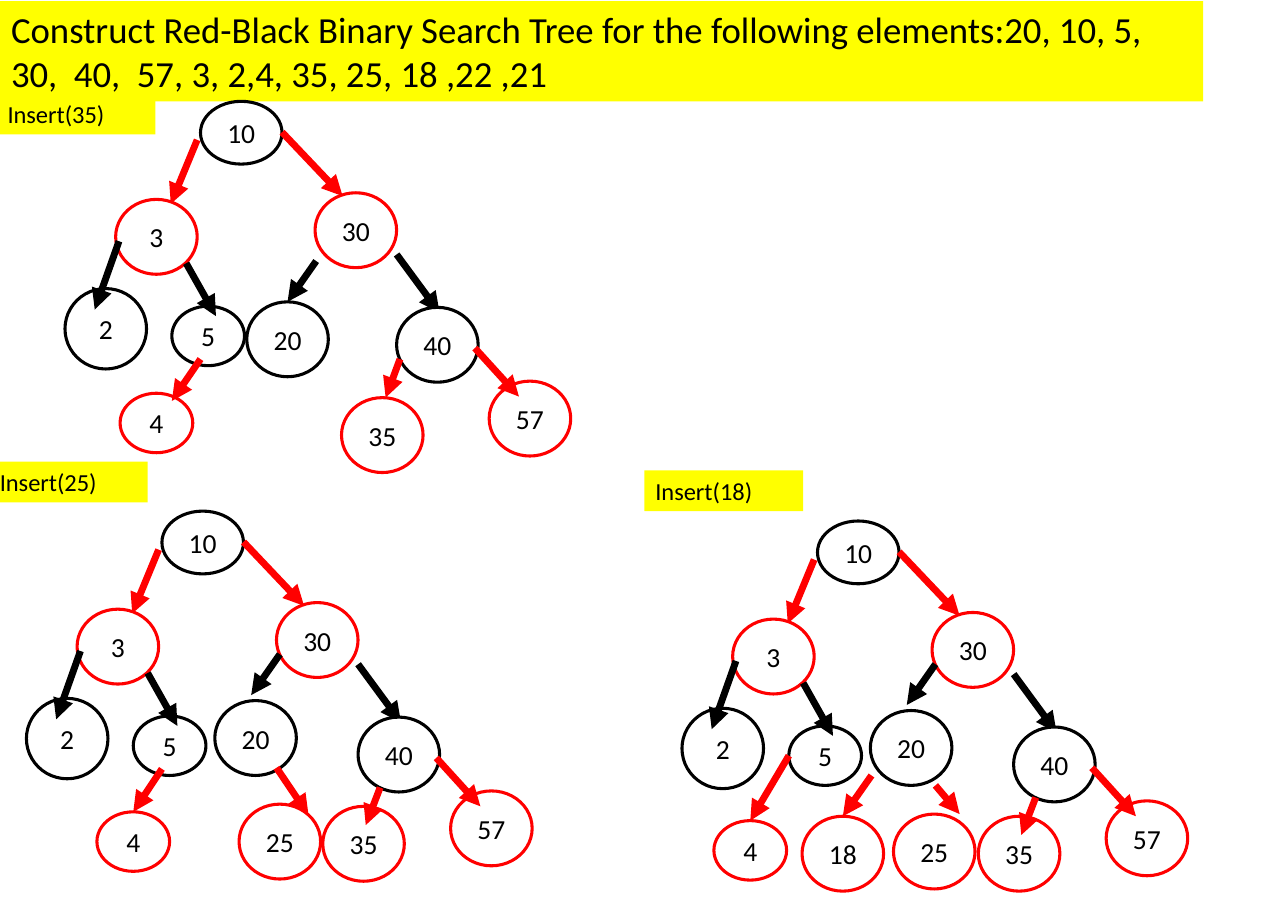
from dataclasses import dataclass

from lxml import etree
from pptx import Presentation
from pptx.dml.color import RGBColor
from pptx.enum.shapes import MSO_CONNECTOR, MSO_SHAPE
from pptx.enum.text import MSO_ANCHOR, MSO_AUTO_SIZE, PP_ALIGN
from pptx.oxml.ns import qn
from pptx.slide import Slide
from pptx.text.text import TextFrame
from pptx.util import Inches, Pt

OVAL = MSO_SHAPE.OVAL
STRAIGHT = MSO_CONNECTOR.STRAIGHT
TOP, MIDDLE = MSO_ANCHOR.TOP, MSO_ANCHOR.MIDDLE
LEFT, CENTER = PP_ALIGN.LEFT, PP_ALIGN.CENTER
NO_AUTOFIT = MSO_AUTO_SIZE.NONE

RED, BLACK, WHITE, YELLOW = "FF0000", "000000", "FFFFFF", "FFFF00"
TITLE = ("Construct Red-Black Binary Search Tree for the following elements:"
         "20, 10, 5,  30,  40,  57, 3, 2,4, 35, 25, 18 ,22 ,21")


@dataclass(frozen=True)
class Node:
    key: int
    x: float
    y: float
    color: str = BLACK
    width: float = 0.74
    height: float = 0.68


@dataclass(frozen=True)
class Arrow:
    x1: float
    y1: float
    x2: float
    y2: float
    color: str = RED


@dataclass(frozen=True)
class Tree:
    label: str
    label_x: float
    label_y: float
    root_x: float
    root_y: float
    branches: tuple[Node | Arrow, ...]


SHARED_TREE = (
    Arrow(1.78, 1.39, 2.17, 1.92, BLACK),
    Node(10, 0, 0, height=0.57),
    Arrow(0.74, 0.28, 1.29, 0.86),
    Node(5, -0.26, 1.86, width=0.66, height=0.54),
    Arrow(-0.03, 0.35, -0.27, 0.93),
    Node(30, 1.04, 0.83, RED),
    Node(40, 1.78, 1.87),
    Node(57, 2.62, 2.54, RED),
    Arrow(2.49, 2.24, 2.89, 2.68),
    Node(3, -0.77, 0.89, RED),
    Arrow(-0.13, 1.47, 0.14, 1.95, BLACK),
    Node(2, -1.23, 1.7, height=0.73),
    Arrow(-0.74, 1.27, -0.96, 1.89, BLACK),
)
UPPER_20 = (Node(20, 0.48, 1.72), Arrow(1.07, 1.3, 0.81, 1.67, BLACK))
LOWER_35 = (Node(35, 1.46, 2.68, RED), Arrow(1.98, 2.51, 1.85, 2.85))

TREES = (
    Tree("Insert(35)", -0.03, 0.85, 1.82, 0.92, (
        Node(20, 0.42, 1.82),
        Arrow(1.05, 1.45, 0.79, 1.82, BLACK),
        Node(4, -0.73, 2.65, RED, 0.66, 0.54),
        Arrow(0, 2.34, -0.26, 2.72),
        Node(35, 1.28, 2.69, RED),
        Arrow(1.81, 2.34, 1.68, 2.69),
    )),
    Tree("Insert(25)", -0.1, 4.19, 1.47, 4.64, UPPER_20 + (
        Node(4, -0.59, 2.73, RED, 0.66, 0.54),
        Arrow(0, 2.34, -0.26, 2.73),
        Node(25, 0.7, 2.66, RED),
        Arrow(1.04, 2.33, 1.33, 2.76),
    ) + LOWER_35),
    Tree("Insert(18)", 5.85, 4.27, 7.42, 4.73, UPPER_20 + (
        Node(4, -0.94, 2.72, RED, 0.66, 0.54),
        Arrow(-0.26, 2.13, -0.61, 2.72),
        Node(25, 0.69, 2.66, RED),
        Arrow(1.07, 2.4, 1.29, 2.66),
        Node(18, -0.14, 2.68, RED),
        Arrow(0.49, 2.31, 0.23, 2.68),
    ) + LOWER_35),
)


def paint(color_format, color: str) -> None:
    color_format.rgb = RGBColor.from_string(color)


def fill_solid(box, color: str) -> None:
    box.fill.solid()
    paint(box.fill.fore_color, color)


def set_attributes(target, values: dict) -> None:
    for name, value in values.items():
        setattr(target, name, value)


def write(frame: TextFrame, text: str, size: int, align=LEFT, anchor=TOP) -> None:
    set_attributes(frame, {"word_wrap": True, "auto_size": NO_AUTOFIT,
                           "vertical_anchor": anchor})
    para = frame.paragraphs[0]
    para.alignment = align
    span = para.add_run()
    span.text = text
    set_attributes(span.font, {"name": "Calibri", "size": Pt(size)})
    paint(span.font.color, BLACK)


def draw_node(page: Slide, node: Node, left: float, top: float) -> None:
    box = page.shapes.add_shape(OVAL, Inches(left + node.x), Inches(top + node.y),
                                Inches(node.width), Inches(node.height))
    box.shadow.inherit = False
    fill_solid(box, WHITE)
    paint(box.line.color, node.color)
    box.line.width = Pt(2)
    write(box.text_frame, str(node.key), 18, CENTER, MIDDLE)


def draw_arrow(page: Slide, arrow: Arrow, left: float, top: float) -> None:
    connector = page.shapes.add_connector(
        STRAIGHT, Inches(left + arrow.x1), Inches(top + arrow.y1),
        Inches(left + arrow.x2), Inches(top + arrow.y2))
    paint(connector.line.color, arrow.color)
    connector.line.width = Pt(4.5)
    outline = connector.line._get_or_add_ln()
    etree.SubElement(outline, qn("a:tailEnd"), type="triangle")
    etree.SubElement(outline.getparent(), qn("a:effectLst"))


def draw_tree(page: Slide, tree: Tree) -> None:
    for part in SHARED_TREE + tree.branches:
        draw = draw_node if isinstance(part, Node) else draw_arrow
        draw(page, part, tree.root_x, tree.root_y)
    label = page.shapes.add_textbox(Inches(tree.label_x), Inches(tree.label_y),
                                    Inches(1.44), Inches(0.37))
    fill_solid(label, YELLOW)
    write(label.text_frame, tree.label, 16)


def draw_title(page: Slide) -> None:
    title = page.shapes.title
    set_attributes(title, {"left": Inches(0), "top": Inches(0.01),
                           "width": Inches(10.92), "height": Inches(0.91)})
    fill_solid(title, YELLOW)
    write(title.text_frame, TITLE, 24)


def main() -> None:
    deck = Presentation()
    set_attributes(deck, {"slide_width": Inches(11.69), "slide_height": Inches(8.27)})
    page = deck.slides.add_slide(deck.slide_layouts[5])
    draw_title(page)
    for tree in TREES:
        draw_tree(page, tree)
    deck.save("out.pptx")


if __name__ == "__main__":
    main()
